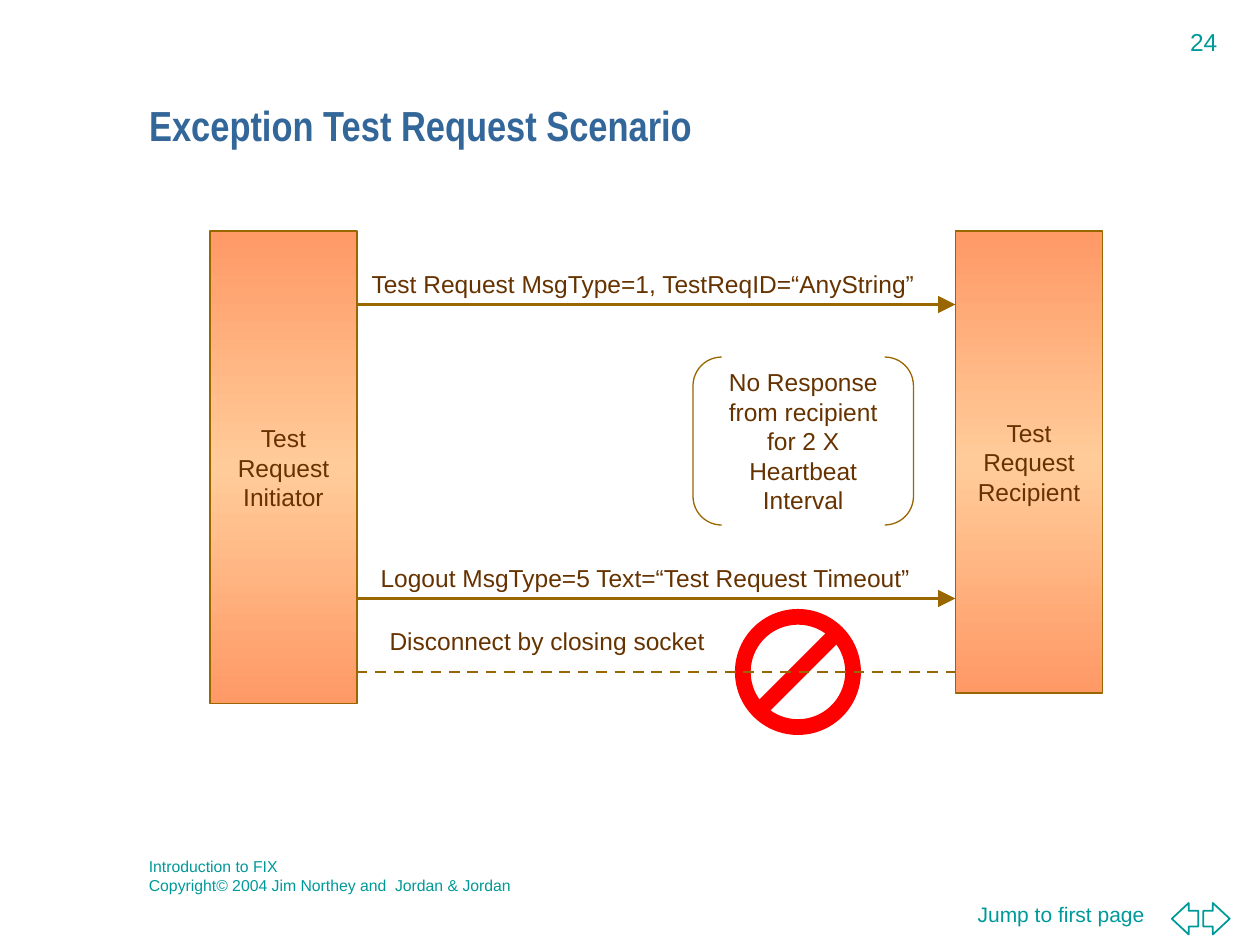
from copy import deepcopy
from dataclasses import dataclass

from lxml import etree
from pptx import Presentation
from pptx.dml.color import RGBColor
from pptx.enum.dml import MSO_LINE
from pptx.enum.shapes import MSO_CONNECTOR, MSO_SHAPE
from pptx.enum.text import MSO_ANCHOR, MSO_AUTO_SIZE, PP_ALIGN
from pptx.oxml.ns import qn
from pptx.util import Pt

LEFT, CENTER = PP_ALIGN.LEFT, PP_ALIGN.CENTER
TOP, MIDDLE = MSO_ANCHOR.TOP, MSO_ANCHOR.MIDDLE
FIXED, GROW = MSO_AUTO_SIZE.NONE, MSO_AUTO_SIZE.SHAPE_TO_FIT_TEXT
STRAIGHT, DASH = MSO_CONNECTOR.STRAIGHT, MSO_LINE.DASH
RECTANGLE, BRACKETS = MSO_SHAPE.RECTANGLE, MSO_SHAPE.DOUBLE_BRACKET
NO_SIGN = MSO_SHAPE.NO_SYMBOL
LEFT_ARROW, RIGHT_ARROW = MSO_SHAPE.LEFT_ARROW, MSO_SHAPE.RIGHT_ARROW


@dataclass(frozen=True)
class Theme:
    """Colours, fonts, type sizes and line widths of the slide."""
    title: RGBColor = RGBColor(0x33, 0x66, 0x99)
    body: RGBColor = RGBColor(0x66, 0x33, 0x00)
    chrome: RGBColor = RGBColor(0x00, 0x99, 0x99)
    outline: RGBColor = RGBColor(0x99, 0x66, 0x00)
    edge: RGBColor = RGBColor(0xFF, 0x99, 0x66)
    core: RGBColor = RGBColor(0xFF, 0xCC, 0x99)
    stop: RGBColor = RGBColor(0xFF, 0x00, 0x00)
    paper: RGBColor = RGBColor(0xFF, 0xFF, 0xFF)
    title_font: str = "Arial Narrow"
    body_font: str = "Arial"
    title_size: float = 24
    body_size: float = 14
    jump_size: float = 12
    footer_size: float = 9
    thin: float = 0.75
    arrow: float = 1
    message: float = 1.5


THEME = Theme()


def points(box):
    """Turn a box of numbers into lengths in points."""
    return [Pt(value) for value in box]


def write(frame, text, size, color, align=CENTER, anchor=MIDDLE, font=THEME.body_font):
    """Fill a text frame and format its runs."""
    frame.text = text
    frame.vertical_anchor = anchor
    for paragraph in frame.paragraphs:
        paragraph.alignment = align
        for run in paragraph.runs:
            run.font.name, run.font.size = font, Pt(size)
            run.font.color.rgb = color


def add_label(slide, box, text, size=THEME.body_size, color=THEME.body,
              align=CENTER, anchor=MIDDLE, wrap=False, fit=GROW):
    """Add a text box."""
    frame = slide.shapes.add_textbox(*points(box)).text_frame
    write(frame, text, size, color, align, anchor)
    frame.word_wrap = wrap
    frame.auto_size = fit


def add_preset(slide, kind, box, line=None, width=THEME.thin, fill=None):
    """Add a preset shape with plain line and fill."""
    shape = slide.shapes.add_shape(kind, *points(box))
    shape.shadow.inherit = False
    if fill is None:
        shape.fill.background()
    else:
        shape.fill.solid()
        shape.fill.fore_color.rgb = fill
    if line is None:
        shape.line.fill.background()
    else:
        shape.line.color.rgb = line
        shape.line.width = Pt(width)
    return shape


def add_party(slide, box, text):
    """Add one session party as a shaded column."""
    party = add_preset(slide, RECTANGLE, box, THEME.outline)
    party.fill.gradient()
    party.fill.gradient_angle = 270
    first, last = party.fill.gradient_stops
    for stop, position in ((first, 0), (last, 1)):
        stop.color.rgb, stop.position = THEME.edge, position
    stops = party._element.spPr.find(".//" + qn("a:gsLst"))
    stops.insert(1, deepcopy(stops[0]))
    middle = party.fill.gradient_stops[1]
    middle.color.rgb, middle.position = THEME.core, 0.5
    write(party.text_frame, text, THEME.body_size, THEME.body)


def add_message(slide, start, end, y, dashed=False):
    """Add a message arrow, or a dashed line for a closed link."""
    message = slide.shapes.add_connector(STRAIGHT, *points((start, y, end, y)))
    message.line.color.rgb = THEME.outline
    message.line.width = Pt(THEME.message)
    if dashed:
        message.line.dash_style = DASH
    else:
        etree.SubElement(message.line._get_or_add_ln(), qn("a:tailEnd"),
                         type="triangle", w="lg", len="lg")
    etree.SubElement(message._element.spPr, qn("a:effectLst"))


def add_title(slide, box, text):
    """Place and format the title placeholder."""
    title = slide.shapes.title
    title.left, title.top, title.width, title.height = points(box)
    frame = title.text_frame
    write(frame, text, THEME.title_size, THEME.title, LEFT, font=THEME.title_font)
    frame.auto_size = FIXED
    frame.paragraphs[0].line_spacing = 0.7
    frame.paragraphs[0].runs[0].font.bold = True


def add_scenario(slide, box):
    """Draw the message exchange between both parties."""
    left, top, width, height = box
    column = 84
    start, end = left + column, left + width - column
    request, logout, closing = top + 42, top + 210, top + 252

    add_message(slide, start, end, request)
    add_party(slide, (left, top, column, height), "Test Request Initiator")
    add_party(slide, (end, top, column, height - 6), "Test Request Recipient")
    add_message(slide, start, end, logout)
    add_label(slide, (start - 3, request - 24, 333, 24.5),
              "Test Request MsgType=1, TestReqID=“AnyString”")
    add_label(slide, (start + 1.7, logout - 24, 326, 24.5),
              "Logout MsgType=5 Text=“Test Request Timeout”")
    add_label(slide, (start + 8.7, closing - 30, 200, 24.5), "Disconnect by closing socket")

    sign = add_preset(slide, NO_SIGN, (start + 216, closing - 36, 72, 72), fill=THEME.stop)
    sign.adjustments[0] = 0.125
    sign._element.spPr.find(qn("a:xfrm")).set("flipH", "1")
    add_message(slide, start, end, closing, dashed=True)

    silence = add_preset(slide, BRACKETS, (end - 150, top + 72, 126, 96), THEME.outline)
    silence.adjustments[0] = 0.171
    write(silence.text_frame, "No Response from recipient for 2 X Heartbeat Interval",
          THEME.body_size, THEME.body)


def add_navigation(slide, box):
    """Add the jump label and its two arrows."""
    left, top, width, height = box
    add_label(slide, (left, top, 120, height), "Jump to first page", THEME.jump_size,
              THEME.chrome, LEFT, TOP, wrap=True, fit=FIXED)
    arrow_width = 15.1
    for kind, x in ((LEFT_ARROW, left + 118), (RIGHT_ARROW, left + width - arrow_width)):
        arrow = add_preset(slide, kind, (x, top + 4.3, arrow_width, 18),
                           THEME.chrome, THEME.arrow, THEME.paper)
        arrow.adjustments[0], arrow.adjustments[1] = 0.5, 0.638


def add_footer(slide, box):
    """Add the course name and copyright line."""
    add_label(slide, box, "Introduction to FIX\vCopyright© 2004 Jim Northey and  Jordan & Jordan",
              THEME.footer_size, THEME.chrome, LEFT, TOP, wrap=True)


def add_page_number(slide, box):
    """Add the page number."""
    add_label(slide, box, "24", THEME.body_size, THEME.chrome, anchor=TOP)


def main():
    """Build and save the slide."""
    deck = Presentation()
    deck.slide_width, deck.slide_height = Pt(720), Pt(540)
    slide = deck.slides.add_slide(deck.slide_layouts[5])
    add_navigation(slide, (551.6, 511.7, 151.1, 33))
    add_page_number(slide, (648.6, 12.2, 78.5, 24.5))
    add_footer(slide, (78, 486, 498, 29))
    add_title(slide, (78, 48, 624, 54), "Exception Test Request Scenario")
    add_scenario(slide, (120, 132, 510, 270))
    deck.save("out.pptx")


if __name__ == "__main__":
    main()
